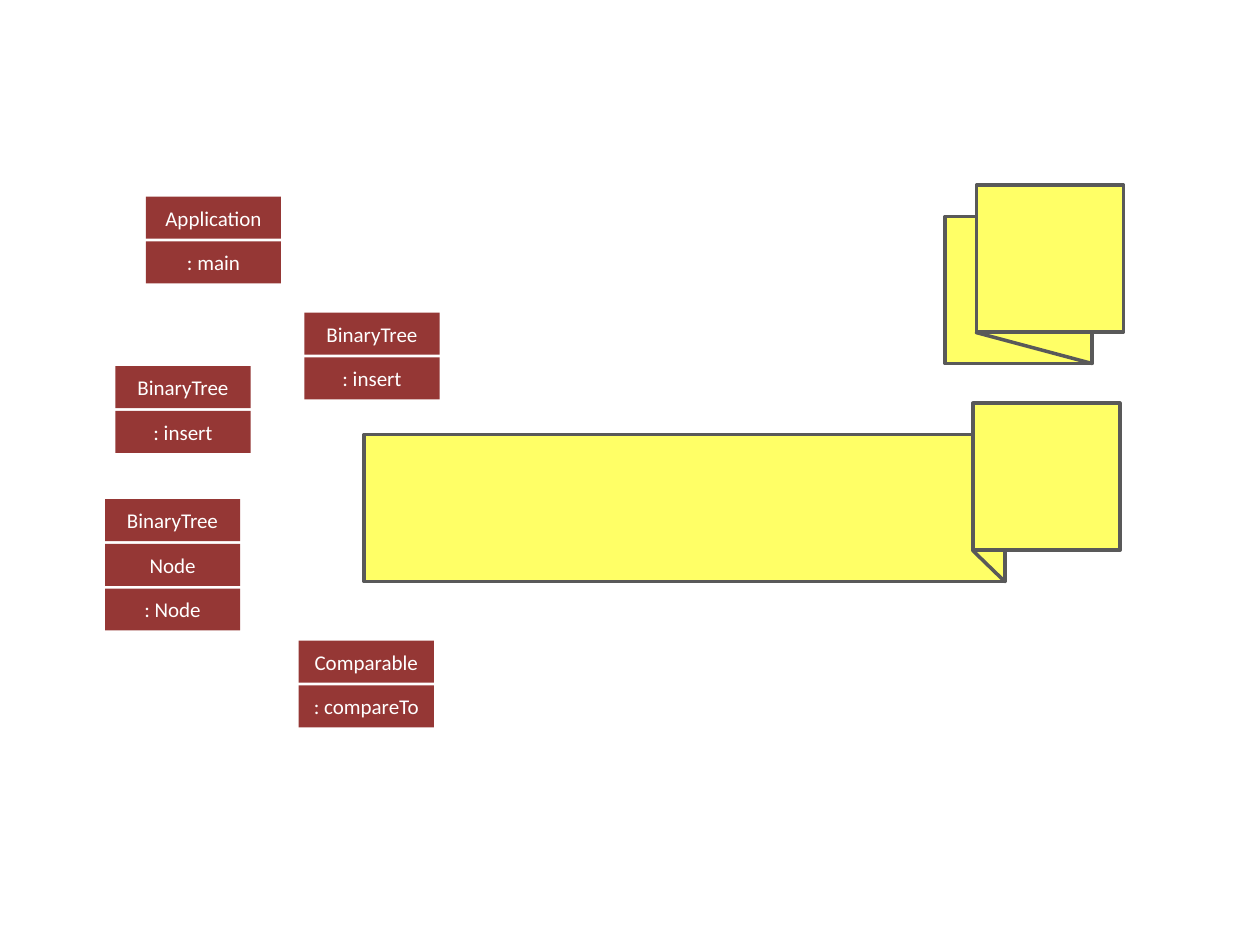
from pptx import Presentation
from pptx.dml.color import RGBColor
from pptx.enum.shapes import MSO_SHAPE
from pptx.enum.text import MSO_ANCHOR, PP_ALIGN
from pptx.util import Pt

RED = RGBColor(0x95, 0x37, 0x35)
YELLOW = RGBColor(0xFF, 0xFF, 0x66)
GREY = RGBColor(0x59, 0x59, 0x59)
WHITE = RGBColor(0xFF, 0xFF, 0xFF)

LABEL_WIDTH, LABEL_HEIGHT, LABEL_PITCH = 77.2, 24, 25.55
CARD_SIZE, CARD_LIFT = 84, 17.9


class Diagram:
    font_name = "Calibri"
    font_size = Pt(12)
    line_width = Pt(2)

    def __init__(self, page):
        self.page = page

    def shape(self, group, kind, left, top, width, height, fill, line=None):
        shape = group.shapes.add_shape(kind, Pt(left), Pt(top), Pt(width), Pt(height))
        shape.shadow.inherit = False
        shape.fill.solid()
        shape.fill.fore_color.rgb = fill
        if line is None:
            shape.line.fill.background()
        else:
            shape.line.color.rgb = line
            shape.line.width = self.line_width
        return shape

    def label(self, group, left, top, text):
        box = self.shape(group, MSO_SHAPE.RECTANGLE, left, top,
                         LABEL_WIDTH, LABEL_HEIGHT, RED)
        frame = box.text_frame
        frame.vertical_anchor = MSO_ANCHOR.MIDDLE
        para = frame.paragraphs[0]
        para.text = text
        para.alignment = PP_ALIGN.CENTER
        para.font.name = self.font_name
        para.font.size = self.font_size
        para.font.color.rgb = WHITE

    def stack(self, left, top, texts):
        group = self.page.shapes.add_group_shape()
        for row, text in enumerate(texts):
            self.label(group, left, top + row * LABEL_PITCH, text)

    def card(self, group, left, top, width=CARD_SIZE):
        self.shape(group, MSO_SHAPE.RECTANGLE, left, top, width, CARD_SIZE, YELLOW, GREY)

    def lifted_card(self, left, top, width, front_left):
        group = self.page.shapes.add_group_shape()
        self.card(group, left, top, width)
        depth = left + width - front_left
        fold = self.shape(group, MSO_SHAPE.ISOSCELES_TRIANGLE,
                          front_left + (depth - CARD_SIZE) / 2,
                          top + (CARD_SIZE - depth) / 2,
                          CARD_SIZE, depth, YELLOW, GREY)
        fold.rotation = 270
        fold.adjustments[0] = 0.21
        self.card(group, front_left, top - CARD_LIFT)


deck = Presentation()
deck.slide_width, deck.slide_height = Pt(720), Pt(540)
diagram = Diagram(deck.slides.add_slide(deck.slide_layouts[6]))

diagram.lifted_card(540, 123.7, CARD_SIZE, 558)
diagram.lifted_card(208, 248.3, 366.2, 556)

for left, top, texts in [
    (83.4, 112.4, ["Application", ": main"]),
    (66, 209.2, ["BinaryTree", ": insert"]),
    (60, 285.2, ["BinaryTree", "Node", ": Node"]),
    (174, 178.7, ["BinaryTree", ": insert"]),
    (170.7, 366.1, ["Comparable", ": compareTo"]),
]:
    diagram.stack(left, top, texts)

deck.save("out.pptx")
